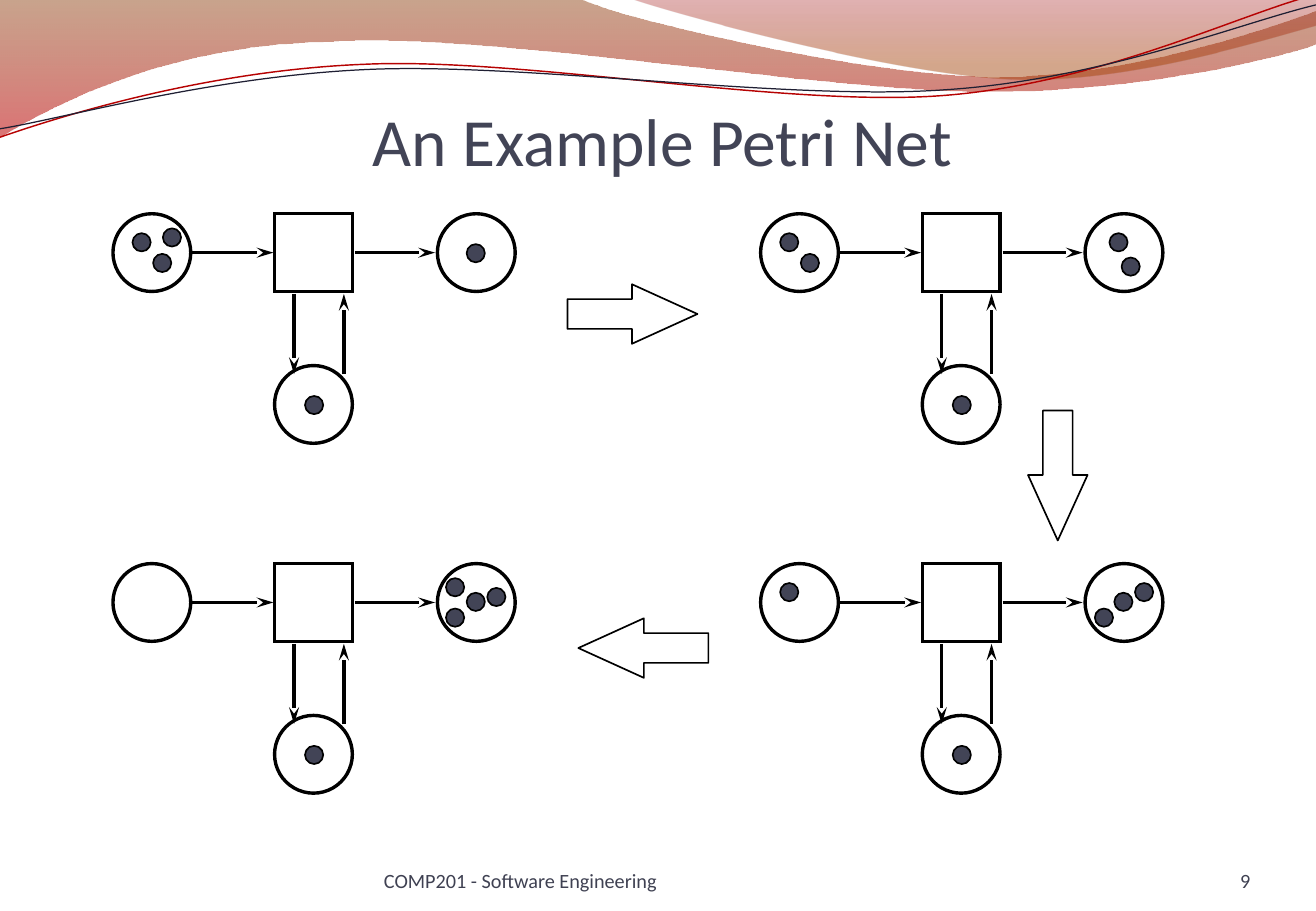
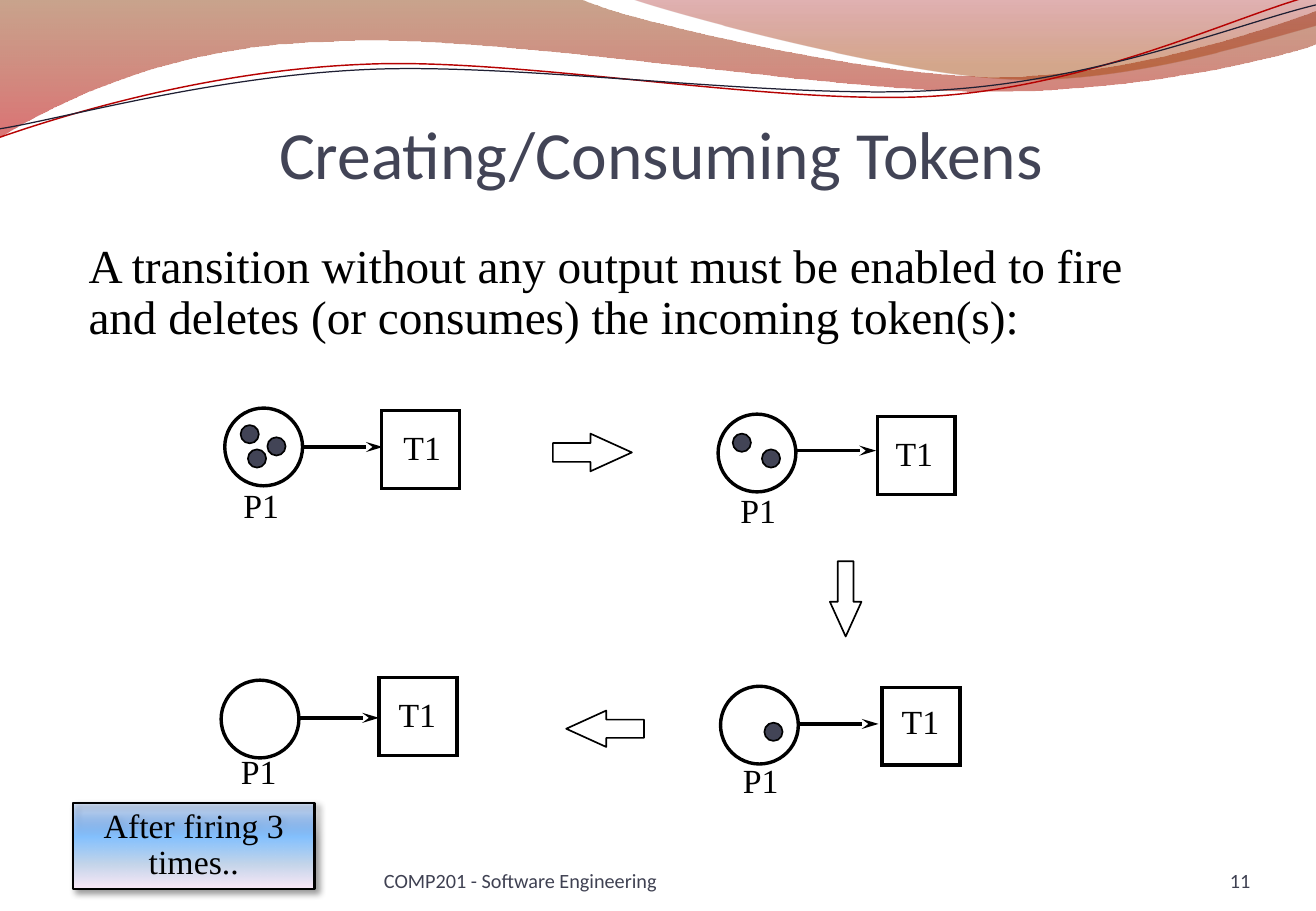
from lxml.etree import SubElement
from pptx import Presentation
from pptx.dml.color import RGBColor
from pptx.enum.shapes import MSO_CONNECTOR, MSO_SHAPE
from pptx.enum.text import MSO_ANCHOR, PP_ALIGN
from pptx.oxml.ns import qn
from pptx.util import Emu, Pt

PX = 9144
SLIDE_SIZE = (1083, 750)
HEADING_FONT, BODY_FONT = "Calibri", "Times New Roman"
SLATE, FOOTER_GREY, BLACK = "424456", "3F4152", "000000"
NODE, TOKEN = 64, 15
LOOP_TOKEN = [(25, 25)]

BANDS = [
    ([(0, 0), (477, -1), (515, 17, 719, 63, 822, 63), (924, 63, 1038, 26, 1083, 9),
      (1084, 36), (1065, 44, 942, 76, 808, 75), (674, 75, 414, 28, 279, 34),
      (140, 36, 50, 83, -1, 113), (0, 0)],
     [(0, "883400", 45), (100, "BD0000", 55)]),
    ([(519, -1), (552, 11, 739, 62, 833, 65), (927, 69, 1042, 32, 1083, 21),
      (1083, 0), (519, -1)],
     [(0, "9A0000", 30), (80, "A23E00", 45)]),
]
WAVES = [
    ([(0, 113), (52, 95, 171, 58, 300, 53), (428, 47, 642, 88, 772, 79),
      (902, 70, 1017, 13, 1081, -4)], "B60202", 0.85),
    ([(0, 106), (51, 98, 177, 62, 307, 57), (436, 52, 647, 83, 776, 74),
      (906, 66, 1020, 19, 1083, 4)], "1F1F33", 0.75),
]
CALLOUT_STOPS = [(0, "5E9EFF", 17), (40, "85C2FF", 100),
                 (70, "C4D6EB", 100), (100, "FFEBFA", 100)]


def px(*lengths):
    """Turn px lengths into EMU."""
    return [Emu(round(length * PX)) for length in lengths]


def color(value):
    """Return the colour for a hex string."""
    return RGBColor.from_string(value)


def set_line(shape, value, width):
    """Give a shape or connector a solid line."""
    shape.line.color.rgb = color(value)
    shape.line.width = Pt(width)


def add_color(parent, value, alpha):
    """Add a colour with an opacity in percent to an XML element."""
    element = SubElement(parent, qn("a:srgbClr"), val=value)
    SubElement(element, qn("a:alpha"), val=str(alpha * 1000))


def set_gradient(shape, stops):
    """Fill a shape from top to bottom through the given stops."""
    shape.fill.background()
    blank = shape.element.spPr.find(qn("a:noFill"))
    gradient = SubElement(shape.element.spPr, qn("a:gradFill"), rotWithShape="1")
    stop_list = SubElement(gradient, qn("a:gsLst"))
    for position, value, alpha in stops:
        stop = SubElement(stop_list, qn("a:gs"), pos=str(position * 1000))
        add_color(stop, value, alpha)
    SubElement(gradient, qn("a:lin"), ang="5400000", scaled="0")
    shape.element.spPr.replace(blank, gradient)


def add_outline(page, segments, close):
    """Draw a freeform, bending the segments that carry control points."""
    start, *ends = [px(*segment[-2:]) for segment in segments]
    builder = page.shapes.build_freeform(*start, scale=1.0)
    builder.add_line_segments(ends, close=close)
    shape = builder.convert_to_shape()
    shape.shadow.inherit = False
    straight_lines = list(shape.element.iter(qn("a:lnTo")))
    for line, segment in zip(straight_lines, segments[1:]):
        if len(segment) == 6:
            line.tag = qn("a:cubicBezTo")
            line.clear()
            lengths = px(*segment)
            for x, y in zip(lengths[::2], lengths[1::2]):
                SubElement(line, qn("a:pt"), x=str(x - shape.left), y=str(y - shape.top))
    return shape


def add_backdrop(page):
    """Draw the bands and waves and move them to the page's layout."""
    layout = page.slide_layout
    for placeholder in list(layout.placeholders):
        layout.shapes.element.remove(placeholder.element)
    for segments, stops in BANDS:
        band = add_outline(page, segments, True)
        set_gradient(band, stops)
        band.line.fill.background()
    for segments, value, width in WAVES:
        wave = add_outline(page, segments, False)
        wave.fill.background()
        set_line(wave, value, width)
    for shape in list(page.shapes):
        layout.shapes.element.append(shape.element)


def write(box, text, font, size, value, align=PP_ALIGN.LEFT, spacing=None):
    """Write one paragraph into a shape."""
    para = box.text_frame.paragraphs[0]
    para.text = text
    para.alignment = align
    para.line_spacing = spacing
    para.font.name = font
    para.font.size = Pt(size)
    para.font.color.rgb = color(value)


def add_heading_text(page, area, text, size, value, align):
    """Add bottom-anchored text in the heading font."""
    box = page.shapes.add_textbox(*px(*area))
    frame = box.text_frame
    frame.word_wrap = True
    frame.vertical_anchor = MSO_ANCHOR.BOTTOM
    frame.margin_left = frame.margin_right = frame.margin_top = frame.margin_bottom = 0
    write(box, text, HEADING_FONT, size, value, align)


def add_body_text(page, area, text, size, align=PP_ALIGN.LEFT, wrap=True):
    """Add text in the body font."""
    box = page.shapes.add_textbox(*px(*area))
    box.text_frame.word_wrap = wrap
    write(box, text, BODY_FONT, size, BLACK, align, 0.9)


def add_page(deck, title, title_at, number):
    """Add a page with title and footer."""
    page = deck.slides.add_slide(deck.slide_layouts[6])
    if len(deck.slides) == 1:
        add_backdrop(page)
    add_heading_text(page, (*title_at, 916, 109), title, 40, SLATE, PP_ALIGN.CENTER)
    add_heading_text(page, (939, 695, 90, 40), number, 12, FOOTER_GREY, PP_ALIGN.RIGHT)
    add_heading_text(page, (316, 695, 397, 40), "COMP201 - Software Engineering",
                     12, FOOTER_GREY, PP_ALIGN.LEFT)
    return page


def add_figure(page, kind, area, width, fill=None):
    """Add a black-outlined preset shape."""
    shape = page.shapes.add_shape(kind, *px(*area))
    shape.shadow.inherit = False
    if fill:
        shape.fill.solid()
        shape.fill.fore_color.rgb = color(fill)
    else:
        shape.fill.background()
    set_line(shape, BLACK, width)
    return shape


def add_transition(page, x, y):
    """Add a square transition with sharp corners."""
    square = add_figure(page, MSO_SHAPE.RECTANGLE, (x, y, NODE, NODE), 2)
    SubElement(square.element.spPr.find(qn("a:ln")), qn("a:miter"), lim="800000")


def add_place(page, x, y, tokens):
    """Add a round place with tokens at offsets from its corner."""
    add_figure(page, MSO_SHAPE.OVAL, (x, y, NODE, NODE), 2)
    for dx, dy in tokens:
        add_figure(page, MSO_SHAPE.OVAL, (x + dx, y + dy, TOKEN, TOKEN), 1, SLATE)


def add_arc(page, x1, y1, x2, y2):
    """Add an arrow between a place and a transition."""
    arc = page.shapes.add_connector(MSO_CONNECTOR.STRAIGHT, *px(x1, y1, x2, y2))
    set_line(arc, BLACK, 2)
    SubElement(arc.element.spPr.find(qn("a:ln")), qn("a:tailEnd"),
               type="stealth", w="med", len="lg")
    SubElement(arc.element.spPr, qn("a:effectLst"))


def add_block_arrow(page, kind, area):
    """Add an outlined block arrow with a long head."""
    arrow = add_figure(page, kind, area, 1)
    arrow.adjustments[0] = 0.5
    arrow.adjustments[1] = 1.1


def add_loop_net(page, x, y, inputs, outputs):
    """Add a net whose transition also loops through a lower place."""
    add_place(page, x, y, inputs)
    add_transition(page, x + 133, y)
    add_place(page, x + 267, y, outputs)
    add_place(page, x + 133, y + 125, LOOP_TOKEN)
    for x1, y1, x2, y2 in [(65, 32, 132, 32), (199, 32, 265, 32),
                           (149, 66, 149, 132), (190, 132, 190, 66)]:
        add_arc(page, x + x1, y + y1, x + x2, y + y2)


def add_sink_net(page, place, transition, arc_y, place_label, transition_label, tokens):
    """Add a labelled net whose transition has no output."""
    add_place(page, *place, tokens)
    add_transition(page, *transition)
    arc_x = place[0] + NODE
    add_arc(page, arc_x, arc_y, arc_x + 66, arc_y)
    for text, corner, width in (("P1", place_label, 50), ("T1", transition_label, 51)):
        add_body_text(page, (*corner, width, 40), text, 20, PP_ALIGN.CENTER, False)


def add_callout(page, area, text):
    """Add a gradient box with a soft shadow."""
    box = add_figure(page, MSO_SHAPE.RECTANGLE, area, 1.5)
    set_gradient(box, CALLOUT_STOPS)
    effects = box.element.spPr.find(qn("a:effectLst"))
    shadow = SubElement(effects, qn("a:outerShdw"), blurRad=str(Pt(4)), dist=str(Pt(3)),
                        dir="2700000", algn="tl", rotWithShape="0")
    add_color(shadow, BLACK, 40)
    box.text_frame.word_wrap = True
    box.text_frame.vertical_anchor = MSO_ANCHOR.TOP
    write(box, text, BODY_FONT, 20, BLACK, PP_ALIGN.CENTER, 0.9)


def add_example_page(deck):
    """Add the four states of the looping net."""
    page = add_page(deck, "An Example Petri Net", (87, 39), "9")
    left, right, top, bottom = 93, 626, 176, 464
    add_loop_net(page, left, top, [(16, 16), (33, 33), (41, 12)], [(24, 25)])
    add_loop_net(page, right, top, [(16, 16), (33, 33)], [(20, 16), (30, 36)])
    add_loop_net(page, right, bottom, [(16, 16)], [(41, 16), (24, 24), (8, 37)])
    add_loop_net(page, left, bottom, [], [(7, 12), (24, 24), (41, 20), (7, 37)])
    add_block_arrow(page, MSO_SHAPE.RIGHT_ARROW, (467, 234, 107, 49))
    add_block_arrow(page, MSO_SHAPE.DOWN_ARROW, (846, 338, 49, 107))
    add_block_arrow(page, MSO_SHAPE.LEFT_ARROW, (476, 509, 107, 49))


def add_tokens_page(deck):
    """Add the four states of the token-consuming net."""
    page = add_page(deck, "Creating/Consuming Tokens", (86, 50), "11")
    add_body_text(page, (63, 195, 931, 95),
                  "A transition without any output must be enabled to fire "
                  "and deletes (or consumes) the incoming token(s):", 28)
    add_sink_net(page, (185, 336), (314, 338), 368, (190, 398), (322, 350),
                 [(19, 34), (13, 14), (35, 24)])
    add_sink_net(page, (591, 341), (722, 343), 371, (599, 402), (727, 355),
                 [(12, 16), (36, 29)])
    add_sink_net(page, (593, 565), (726, 566), 596, (601, 624), (732, 576), [(36, 30)])
    add_sink_net(page, (182, 560), (312, 558), 591, (188, 617), (318, 570), [])
    add_block_arrow(page, MSO_SHAPE.RIGHT_ARROW, (455, 357, 65, 31))
    add_block_arrow(page, MSO_SHAPE.DOWN_ARROW, (683, 462, 26, 62))
    add_block_arrow(page, MSO_SHAPE.LEFT_ARROW, (466, 585, 64, 30))
    add_callout(page, (60, 661, 199, 71), "After firing 3 times..")


def main():
    """Build and save the deck."""
    deck = Presentation()
    deck.slide_width, deck.slide_height = px(*SLIDE_SIZE)
    add_example_page(deck)
    add_tokens_page(deck)
    deck.save("out.pptx")


if __name__ == "__main__":
    main()
